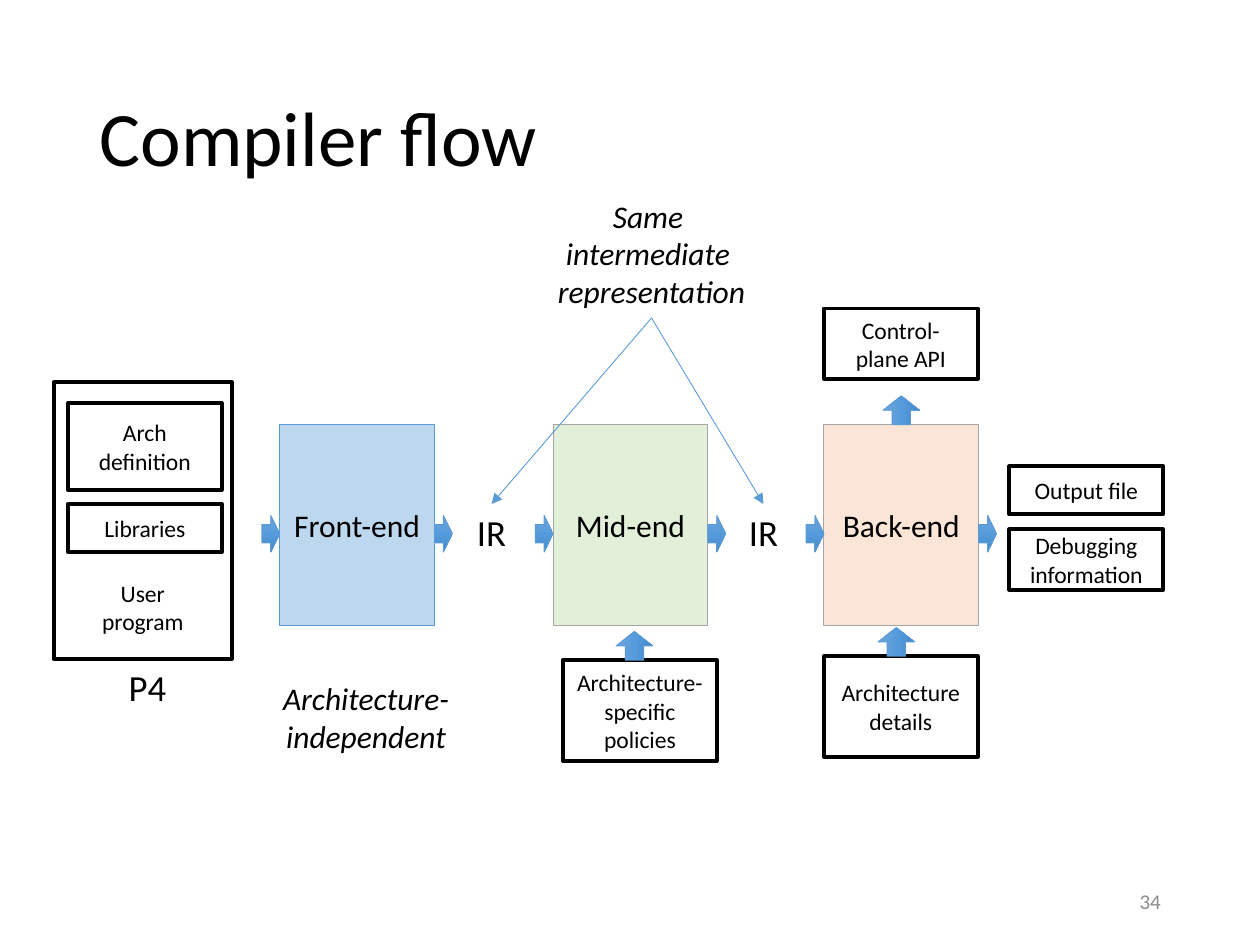
"""Build the compiler flow slide."""
from copy import deepcopy
from dataclasses import dataclass

from pptx import Presentation
from pptx.dml.color import RGBColor
from pptx.enum.shapes import MSO_CONNECTOR, MSO_SHAPE
from pptx.enum.text import MSO_ANCHOR, PP_ALIGN
from pptx.oxml.ns import qn
from pptx.shapes.autoshape import Shape
from pptx.slide import Slide
from pptx.text.text import TextFrame
from pptx.util import Cm, Pt

BLACK = RGBColor(0x00, 0x00, 0x00)
WHITE = RGBColor(0xFF, 0xFF, 0xFF)
BLUE = RGBColor(0x5B, 0x9B, 0xD5)
GRAY = RGBColor(0xA5, 0xA5, 0xA5)
NUMBER_GRAY = RGBColor(0x8C, 0x8C, 0x8C)
PALE_BLUE = RGBColor(0xBD, 0xD7, 0xEE)
PALE_GREEN = RGBColor(0xE2, 0xF0, 0xD9)
PALE_ORANGE = RGBColor(0xFB, 0xE5, 0xD6)
ARROW_STOPS = (
    (0, RGBColor(0x71, 0xA6, 0xDB)),
    (0.5, RGBColor(0x55, 0x9B, 0xDB)),
    (1, RGBColor(0x44, 0x8A, 0xCA)),
)

STAGE_TOP, STAGE_WIDTH, STAGE_HEIGHT = 8.56, 3.12, 4.06
ARROW_TOP, ARROW_HEIGHT = 10.39, 0.74
FLOW_WIDTH, UP_WIDTH = 0.36, 0.58
DETAIL_WIDTH = 3.1


@dataclass
class Box:
    text: str
    left: float
    top: float
    height: float
    width: float = DETAIL_WIDTH
    fill: RGBColor = WHITE
    line: RGBColor = BLACK
    weight: float = 2.25
    size: float = 13.5


@dataclass
class Label:
    text: str
    left: float
    top: float
    width: float
    height: float
    size: float = 21
    italic: bool = False
    color: RGBColor = BLACK
    align: PP_ALIGN = PP_ALIGN.CENTER
    wrap: bool = False


def stage(text: str, left: float, fill: RGBColor, line: RGBColor) -> Box:
    return Box(text, left, STAGE_TOP, STAGE_HEIGHT, STAGE_WIDTH, fill, line, 0.5, 18)


STAGES = (
    stage("Front-end", 5.64, PALE_BLUE, BLUE),
    stage("Mid-end", 11.15, PALE_GREEN, GRAY),
    stage("Back-end", 16.61, PALE_ORANGE, GRAY),
)
USER_PROGRAM = Box("User\nprogram", 1.09, 7.7, 5.59, 3.58)
DETAILS = (
    Box("Arch definition", 1.37, 8.13, 1.75),
    Box("Libraries", 1.37, 10.16, 0.97),
    Box("Output file", 20.35, 9.4, 0.97),
    Box("Debugging\ninformation", 20.35, 10.67, 1.22),
    Box("Control-plane API", 16.61, 6.22, 1.42),
    Box("Architecture-specific policies", 11.35, 13.31, 2.03),
    Box("Architecture\ndetails", 16.61, 13.23, 2.03),
)
UP_ARROWS = ((17.88, 7.9), (12.5, 12.65), (17.78, 12.57))
REPRESENTATION = Label("Same \vintermediate \vrepresentation",
                       10.95, 3.84, 4.37, 2.57, 18, True)
IR_LABELS = tuple(Label("IR", left, 10.16, 1.12, 1.14) for left in (9.35, 14.83))
OTHER_LABELS = (
    Label("P4", 2.34, 13.28, 1.27, 1.14),
    Label("Architecture-\vindependent", 5.41, 13.56, 3.94, 1.8, 18, True),
    Label("34", 18.14, 17.65, 5.51, 1.02, 12, color=NUMBER_GRAY,
          align=PP_ALIGN.RIGHT, wrap=True),
)


def format_text(frame: TextFrame, text: str, align: PP_ALIGN, color: RGBColor,
                **font_values: object) -> None:
    frame.text = text
    for paragraph in frame.paragraphs:
        paragraph.alignment = align
        for run in paragraph.runs:
            for name, value in {"name": "Calibri", **font_values}.items():
                setattr(run.font, name, value)
            run.font.color.rgb = color


def draw_box(slide: Slide, box: Box) -> Shape:
    shape = slide.shapes.add_shape(MSO_SHAPE.RECTANGLE, Cm(box.left), Cm(box.top),
                                   Cm(box.width), Cm(box.height))
    shape.shadow.inherit = False
    shape.fill.solid()
    shape.fill.fore_color.rgb = box.fill
    shape.line.color.rgb = box.line
    shape.line.width = Pt(box.weight)
    shape.text_frame.vertical_anchor = MSO_ANCHOR.MIDDLE
    format_text(shape.text_frame, box.text, PP_ALIGN.CENTER, BLACK, size=Pt(box.size))
    return shape


def draw_arrow(slide: Slide, left: float, top: float, width: float,
               rotation: float = 0) -> None:
    arrow = slide.shapes.add_shape(MSO_SHAPE.RIGHT_ARROW, Cm(left), Cm(top),
                                   Cm(width), Cm(ARROW_HEIGHT))
    arrow.rotation = rotation
    arrow.shadow.inherit = False
    arrow.line.color.rgb = BLUE
    arrow.line.width = Pt(0.5)
    arrow.fill.gradient()
    arrow.fill.gradient_angle = 270
    stop_list = arrow.element.spPr.find(".//" + qn("a:gsLst"))
    stop_list.insert(1, deepcopy(stop_list[0]))
    for stop, (position, color) in zip(arrow.fill.gradient_stops, ARROW_STOPS):
        stop.position = position
        stop.color.rgb = color


def draw_label(slide: Slide, label: Label) -> Shape:
    text_box = slide.shapes.add_textbox(Cm(label.left), Cm(label.top),
                                        Cm(label.width), Cm(label.height))
    frame = text_box.text_frame
    frame.word_wrap = label.wrap
    frame.vertical_anchor = MSO_ANCHOR.MIDDLE if label.wrap else MSO_ANCHOR.TOP
    format_text(frame, label.text, label.align, label.color,
                size=Pt(label.size), italic=label.italic)
    return text_box


def draw_pointer(slide: Slide, source: Shape, target: Shape) -> None:
    pointer = slide.shapes.add_connector(MSO_CONNECTOR.STRAIGHT, 0, 0, 0, 0)
    pointer.begin_connect(source, 2)
    pointer.end_connect(target, 0)
    pointer.line.color.rgb = BLUE
    pointer.line.width = Pt(0.5)
    properties = pointer.element.spPr
    head = properties.find(qn("a:ln")).makeelement(qn("a:tailEnd"), {"type": "triangle"})
    properties.find(qn("a:ln")).append(head)
    properties.append(properties.makeelement(qn("a:effectLst"), {}))


def draw_title(slide: Slide) -> None:
    title = slide.shapes.title
    place = {"left": 1.75, "top": 1.02, "width": 21.89, "height": 3.68}
    for name, value in place.items():
        setattr(title, name, Cm(value))
    title.text_frame.vertical_anchor = MSO_ANCHOR.MIDDLE
    format_text(title.text_frame, "Compiler flow", PP_ALIGN.LEFT, BLACK, size=Pt(44))
    title.text_frame.paragraphs[0].line_spacing = 0.9


def main() -> None:
    presentation = Presentation()
    presentation.slide_width, presentation.slide_height = Cm(25.4), Cm(19.05)
    slide = presentation.slides.add_slide(presentation.slide_layouts[5])
    draw_title(slide)

    user_frame = draw_box(slide, USER_PROGRAM).text_frame
    user_frame.vertical_anchor = MSO_ANCHOR.BOTTOM
    user_frame.margin_bottom = Cm(0.48)
    for box in STAGES + DETAILS:
        draw_box(slide, box)

    for box in STAGES:
        draw_arrow(slide, box.left - FLOW_WIDTH, ARROW_TOP, FLOW_WIDTH)
        draw_arrow(slide, box.left + STAGE_WIDTH, ARROW_TOP, FLOW_WIDTH)
    for left, top in UP_ARROWS:
        draw_arrow(slide, left, top, UP_WIDTH, 270)

    representation = draw_label(slide, REPRESENTATION)
    for label in IR_LABELS:
        draw_pointer(slide, representation, draw_label(slide, label))
    for label in OTHER_LABELS:
        draw_label(slide, label)
    presentation.save("out.pptx")


if __name__ == "__main__":
    main()
